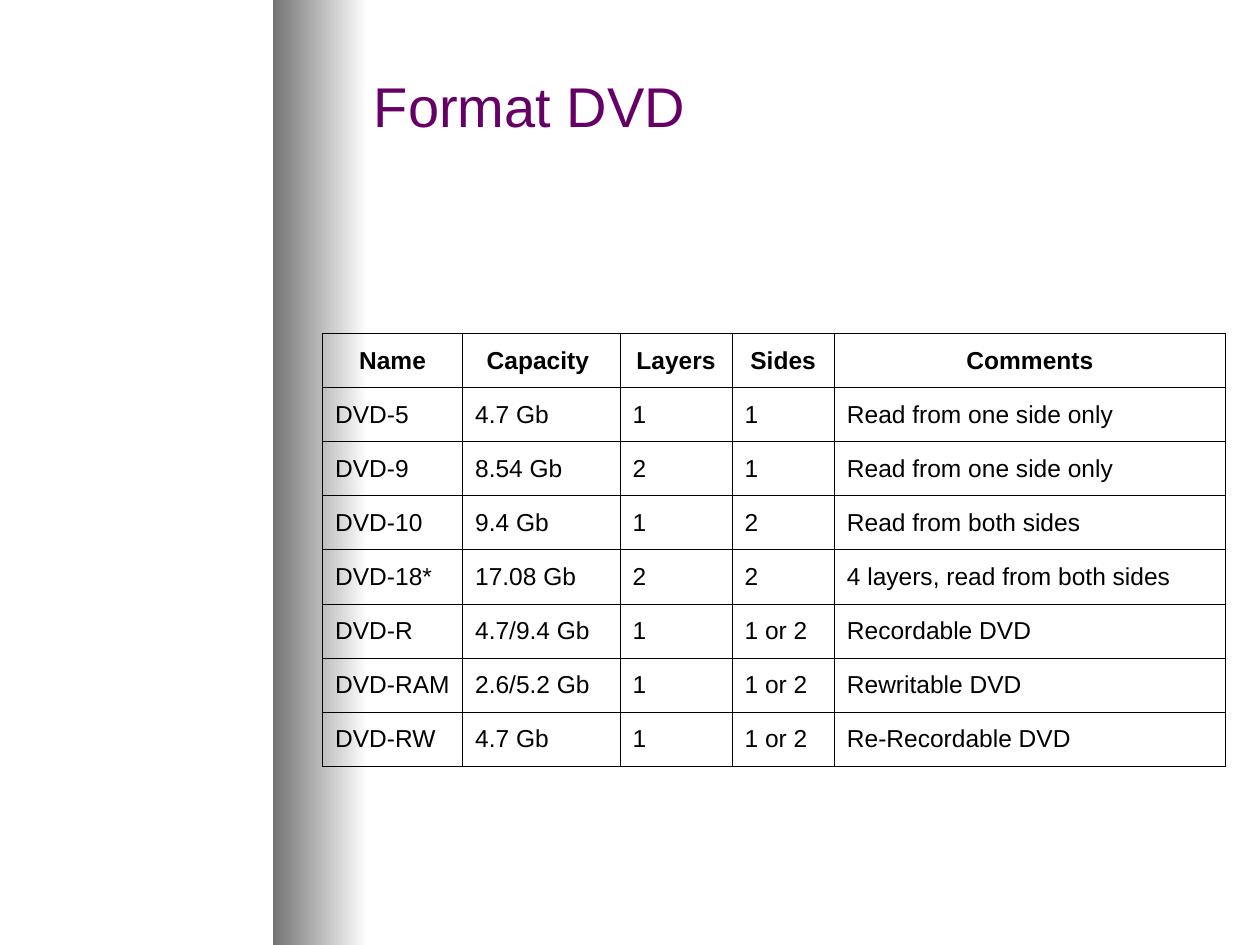
from lxml import etree
from pptx import Presentation
from pptx.dml.color import RGBColor
from pptx.enum.shapes import MSO_SHAPE
from pptx.enum.text import MSO_ANCHOR, MSO_AUTO_SIZE, PP_ALIGN
from pptx.oxml.ns import qn
from pptx.util import Pt

TITLE = "Format DVD"
ROWS = [
    ("Name", "Capacity ", "Layers", "Sides", "Comments"),
    ("DVD-5", "4.7 Gb", "1", "1", "Read from one side only"),
    ("DVD-9", "8.54 Gb", "2", "1", "Read from one side only"),
    ("DVD-10", "9.4 Gb", "1", "2", "Read from both sides"),
    ("DVD-18*", "17.08 Gb", "2", "2", "4 layers, read from both sides"),
    ("DVD-R", "4.7/9.4 Gb", "1", "1 or 2", "Recordable DVD"),
    ("DVD-RAM", "2.6/5.2 Gb", "1", "1 or 2", "Rewritable DVD"),
    ("DVD-RW", "4.7 Gb", "1", "1 or 2", "Re-Recordable DVD"),
]
COLUMN_WIDTHS = (80, 90, 64, 58.5, 223.5)
ROW_HEIGHT = 30.9
BORDER_WIDTH = 0.45
HANGING_INDENT = 27

FONT = "Arial"
WHITE = RGBColor(0xFF, 0xFF, 0xFF)
GRAY = RGBColor(0x74, 0x74, 0x74)
BLACK = RGBColor(0, 0, 0)
PURPLE = RGBColor(0x66, 0, 0x66)
RECTANGLE = MSO_SHAPE.RECTANGLE
MIDDLE = MSO_ANCHOR.MIDDLE
FIT_SHAPE = MSO_AUTO_SIZE.SHAPE_TO_FIT_TEXT
LEFT, CENTER = PP_ALIGN.LEFT, PP_ALIGN.CENTER


def write_text(frame, text, size, color, bold=False, align=LEFT, hanging=0):
    paragraph = frame.paragraphs[0]
    paragraph.alignment = align
    if hanging:
        properties = paragraph._p.get_or_add_pPr()
        properties.set("marL", str(Pt(hanging)))
        properties.set("indent", str(-Pt(hanging)))
    run = paragraph.add_run()
    run.text = text
    run.font.name = FONT
    run.font.size = Pt(size)
    run.font.bold = bold
    run.font.color.rgb = color


def add_borders(cell):
    properties = cell._tc.get_or_add_tcPr()
    for side in ("a:lnL", "a:lnR", "a:lnT", "a:lnB"):
        line = etree.SubElement(properties, qn(side), w=str(Pt(BORDER_WIDTH)))
        fill = etree.SubElement(line, qn("a:solidFill"))
        etree.SubElement(fill, qn("a:srgbClr"), val=str(BLACK))


def add_shaded_band(slide, height):
    band = slide.shapes.add_shape(RECTANGLE, Pt(156.2), 0, Pt(54), height)
    band.shadow.inherit = False
    band.line.fill.background()
    band.fill.gradient()
    band.fill.gradient_angle = 180
    for stop, position, color in zip(band.fill.gradient_stops, (0, 1), (WHITE, GRAY)):
        stop.position = position
        stop.color.rgb = color


def add_format_table(slide):
    table = slide.shapes.add_table(
        len(ROWS), len(COLUMN_WIDTHS), Pt(184.3), Pt(190.6),
        Pt(sum(COLUMN_WIDTHS)), Pt(ROW_HEIGHT * len(ROWS))).table
    table.first_row = False
    table.horz_banding = False
    for column, width in zip(table.columns, COLUMN_WIDTHS):
        column.width = Pt(width)
    for row_index, (row, texts) in enumerate(zip(table.rows, ROWS)):
        row.height = Pt(ROW_HEIGHT)
        header = row_index == 0
        for cell, text in zip(row.cells, texts):
            cell.vertical_anchor = MIDDLE
            add_borders(cell)
            cell.fill.background()
            write_text(cell.text_frame, text, size=14, color=BLACK, bold=header,
                       align=CENTER if header else LEFT, hanging=HANGING_INDENT)


def add_title(slide):
    title = slide.shapes.add_textbox(Pt(206.6), Pt(37.4), Pt(192.2), Pt(46))
    title.text_frame.word_wrap = False
    title.text_frame.auto_size = FIT_SHAPE
    write_text(title.text_frame, TITLE, size=32, color=PURPLE)


def main():
    presentation = Presentation()
    presentation.slide_width = Pt(720)
    presentation.slide_height = Pt(540)
    slide = presentation.slides.add_slide(presentation.slide_layouts[6])
    add_shaded_band(slide, presentation.slide_height)
    add_format_table(slide)
    add_title(slide)
    presentation.save("out.pptx")


if __name__ == "__main__":
    main()
